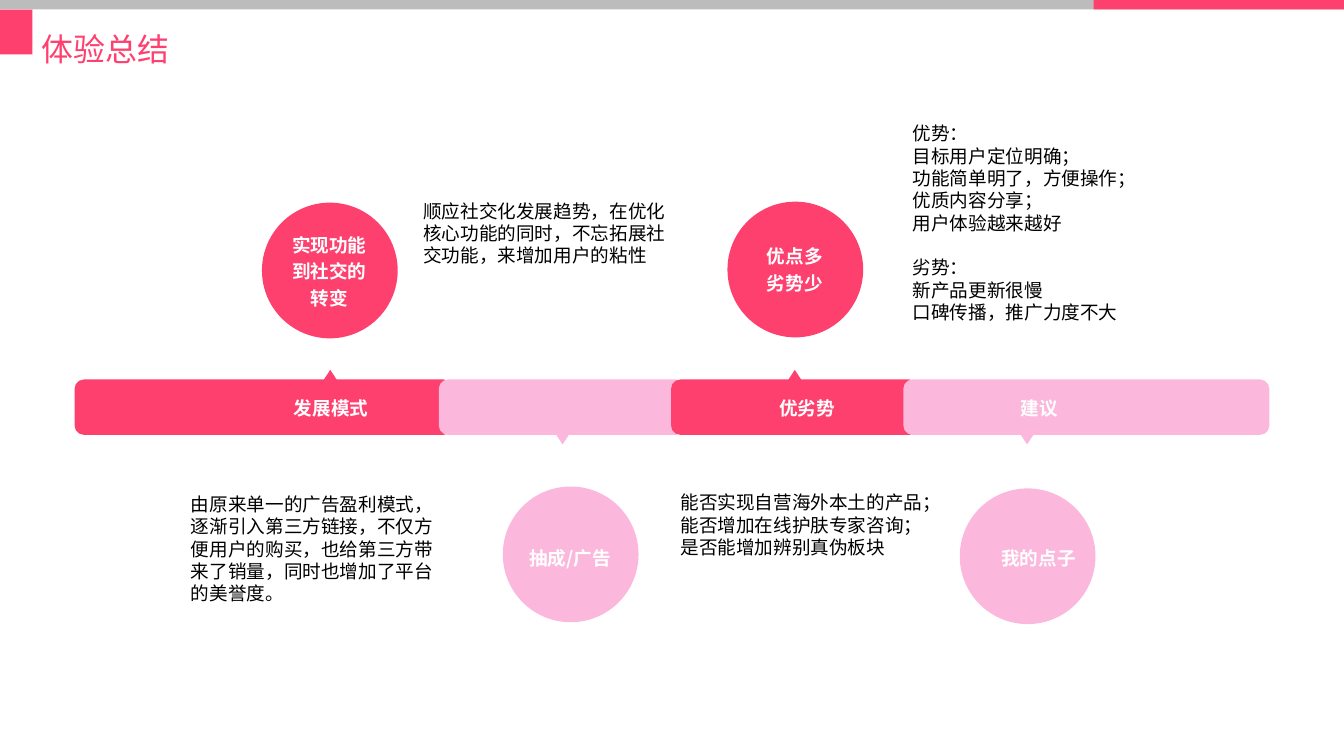
from lxml.etree import SubElement
from pptx import Presentation
from pptx.dml.color import RGBColor
from pptx.enum.shapes import MSO_SHAPE
from pptx.enum.text import MSO_ANCHOR, PP_ALIGN
from pptx.oxml.ns import qn
from pptx.util import Emu, Pt

PX = 9144  # 100 px to the inch
CJK = "Noto Sans CJK SC"
ROSE, PINK, GREY = "FE406F", "FBB8DC", "BCBCBC"
WHITE, BLACK = "FFFFFF", "000000"

STEP = 243
CIRCLE = 142
BODY_WIDTH = 284
LABEL_WIDTH = 83

# left, width of each bar on the timeline
BARS = [(78, 396), (459, 258), (702, 259), (945, 383)]
# left, top, colour
CIRCLES = [(274, 212, ROSE), (526, 509, PINK), (761, 211, ROSE), (1004, 511, PINK)]
# left, top, width, height, font, lines
LABELS = [
    (303, 240, LABEL_WIDTH, 85, "Arial", ["实现功能到社交的转变"]),
    (548, 568, 97, 28, CJK, ["抽成/广告"]),
    (790, 252, LABEL_WIDTH, 56, "Arial", ["优点多", "劣势少"]),
    (1045, 568, LABEL_WIDTH, 28, "Arial", ["我的点子"]),
    (305, 411, LABEL_WIDTH, 28, "Arial", ["发展模式"]),
    (803, 411, LABEL_WIDTH, 28, "Arial", ["优劣势"]),
    (1046, 411, LABEL_WIDTH, 28, "Arial", ["建议"]),
]
# left, top, height, blocks of lines
BODIES = [
    (433, 204, 104, [["顺应社交化发展趋势，在优化核心功能的同时，不忘拓展社交功能，来增加用户的粘性"]]),
    (702, 509, 151, [["能否实现自营海外本土的产品；", "能否增加在线护肤专家咨询；",
                      "是否能增加辨别真伪板块"]]),
    (190, 511, 151, [["由原来单一的广告盈利模式，逐渐引入第三方链接，不仅方便用户的购买，"
                      "也给第三方带来了销量，同时也增加了平台的美誉度。"]]),
    (945, 123, 246, [["优势：", "目标用户定位明确；", "功能简单明了，方便操作；",
                      "优质内容分享；", "用户体验越来越好"],
                     ["劣势：", "新产品更新很慢", "口碑传播，推广力度不大"]]),
]


def px(n):
    return Emu(n * PX)


def color(value):
    return RGBColor.from_string(value)


def add_solid(s, kind, left, top, width, height, fill):
    sp = s.shapes.add_shape(kind, px(left), px(top), px(width), px(height))
    sp.shadow.inherit = False
    sp.fill.solid()
    sp.fill.fore_color.rgb = color(fill)
    sp.line.fill.background()
    return sp


def add_run(p, text, size, font, fill, bold):
    r = p.add_run()
    r.text = text
    r.font.size = Pt(size)
    r.font.bold = bold
    r.font.color.rgb = color(fill)
    r.font.name = font
    SubElement(r.font._element, qn("a:ea")).set("typeface", CJK)


def add_text(s, left, top, width, height, blocks, size, font, fill, spacing,
             bold=False, align=PP_ALIGN.LEFT, inset=True):
    """Write blocks of lines, with one line of space between blocks."""
    tf = s.shapes.add_textbox(px(left), px(top), px(width), px(height)).text_frame
    tf.word_wrap = True
    tf.vertical_anchor = MSO_ANCHOR.TOP
    if not inset:
        tf.margin_left = tf.margin_top = tf.margin_right = tf.margin_bottom = 0
    p = None
    for b, lines in enumerate(blocks):
        for i, line in enumerate(lines):
            p = tf.add_paragraph() if p is not None else tf.paragraphs[0]
            p.alignment = align
            p.line_spacing = Pt(spacing)
            if b and i == 0:
                p.space_before = Pt(spacing)
            add_run(p, line, size, font, fill, bold)


def add_header(s):
    add_solid(s, MSO_SHAPE.RECTANGLE, 0, 0, 1406, 10, GREY)
    add_solid(s, MSO_SHAPE.RECTANGLE, 1144, 0, 262, 10, ROSE)
    add_solid(s, MSO_SHAPE.RECTANGLE, 0, 10, 34, 47, ROSE)
    add_text(s, 34, 5, 354, 71, [["体验总结"]], 24, "Arial Narrow", ROSE, 44)


def add_timeline(s):
    for i, (left, width) in enumerate(BARS):
        below = i % 2 == 1
        fill = PINK if below else ROSE
        bar = add_solid(s, MSO_SHAPE.ROUNDED_RECTANGLE, left, 397, width, 58, fill)
        bar.adjustments[0] = 0.17
        pointer = add_solid(s, MSO_SHAPE.ISOSCELES_TRIANGLE, 337 + i * STEP,
                            452 if below else 387, 17, 13, fill)
        pointer.rotation = 180 if below else 0


def main():
    prs = Presentation()
    prs.slide_width, prs.slide_height = px(1406), px(791)
    s = prs.slides.add_slide(prs.slide_layouts[6])
    add_header(s)
    add_timeline(s)
    for left, top, fill in CIRCLES:
        add_solid(s, MSO_SHAPE.OVAL, left, top, CIRCLE, CIRCLE, fill)
    for left, top, width, height, font, lines in LABELS:
        add_text(s, left, top, width, height, [lines], 14, font, WHITE, 20,
                 bold=True, align=PP_ALIGN.CENTER, inset=False)
    for left, top, height, blocks in BODIES:
        add_text(s, left, top, BODY_WIDTH, height, blocks, 14, CJK, BLACK, 16.8)
    prs.save("out.pptx")


if __name__ == "__main__":
    main()
